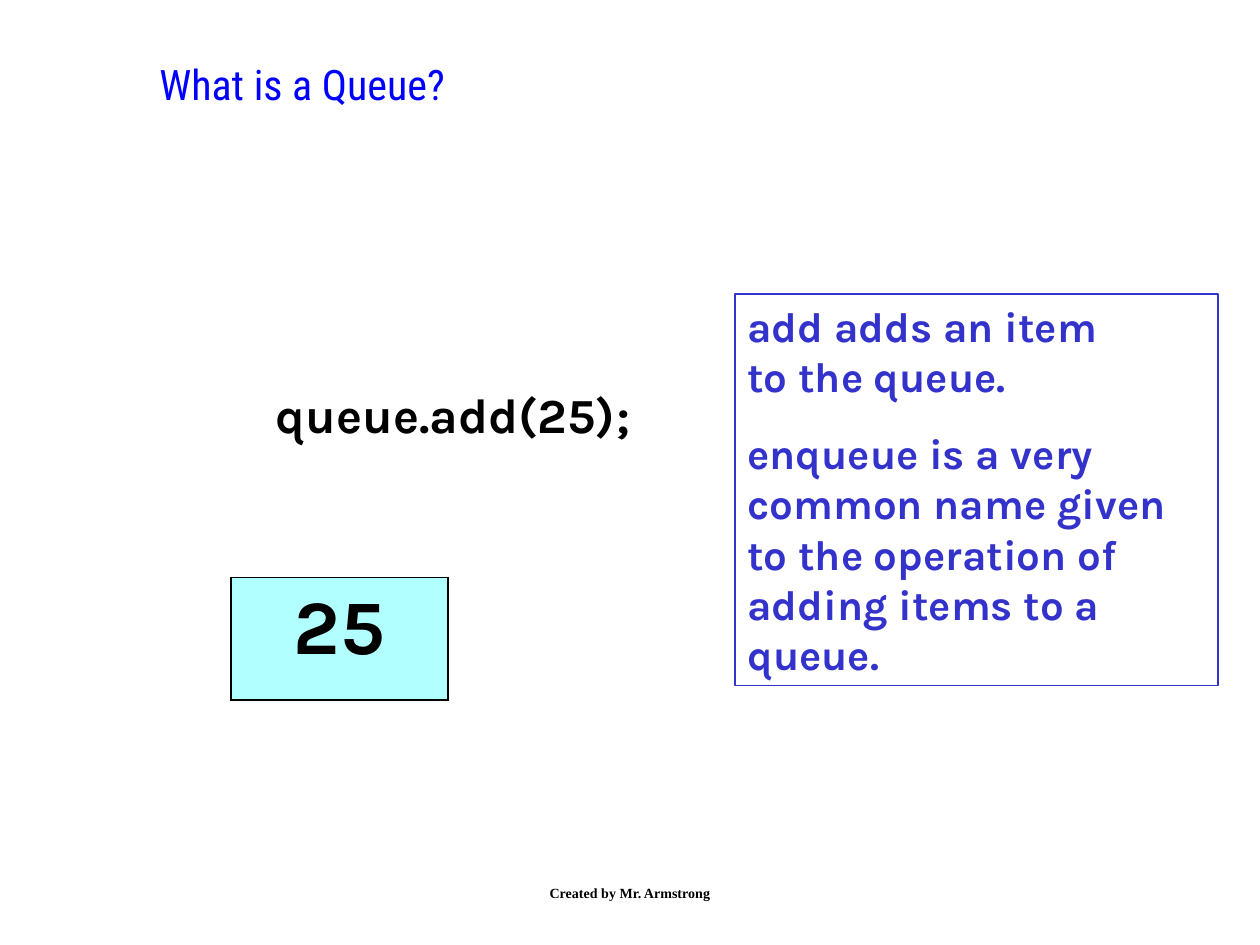
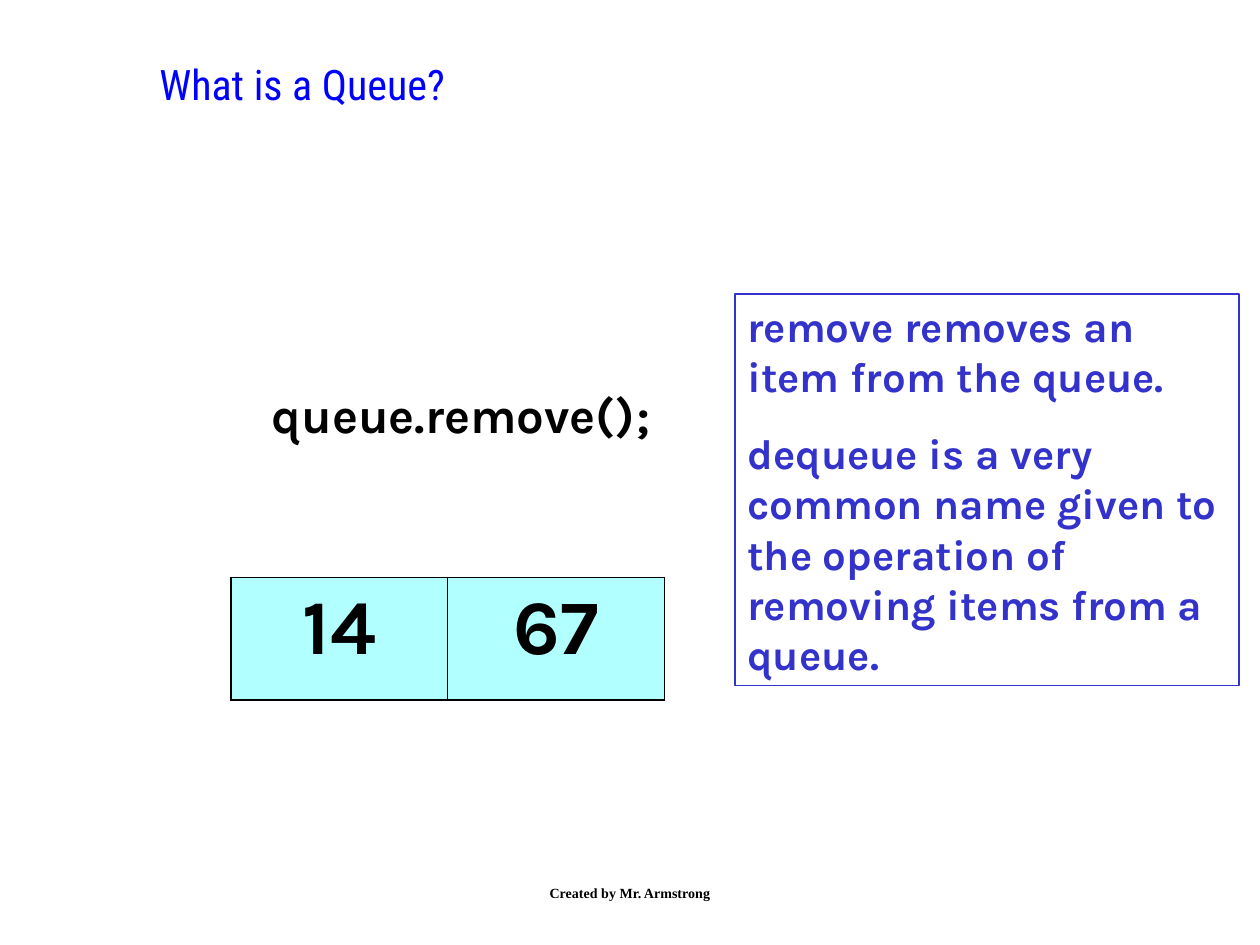
from dataclasses import dataclass
from typing import NamedTuple

from lxml import etree
from pptx import Presentation
from pptx.dml.color import RGBColor
from pptx.enum.shapes import MSO_SHAPE
from pptx.enum.text import MSO_ANCHOR, MSO_AUTO_SIZE, PP_ALIGN
from pptx.oxml.ns import qn
from pptx.slide import Slide
from pptx.table import _Cell
from pptx.text.text import TextFrame, _Paragraph
from pptx.util import Inches, Pt

RECT = MSO_SHAPE.RECTANGLE
TOP, MIDDLE = MSO_ANCHOR.TOP, MSO_ANCHOR.MIDDLE
LEFT, CENTER = PP_ALIGN.LEFT, PP_ALIGN.CENTER
GROW = MSO_AUTO_SIZE.SHAPE_TO_FIT_TEXT

BLACK = RGBColor(0x00, 0x00, 0x00)
BLUE = RGBColor(0x00, 0x00, 0xFF)
INDIGO = RGBColor(0x33, 0x33, 0xCC)
CYAN = RGBColor(0x66, 0xFF, 0xFF)

WIDTH, HEIGHT = Inches(10), Inches(7.5)
COLS, ROWS = 120, 90
UNIT = WIDTH / COLS
CELL_W, CELL_H = 20.64, 11.64
THICK, THIN = 1.08, 0.45


class Box(NamedTuple):
    col: float
    row: float
    wide: float
    high: float

    def place(self) -> tuple[int, int, int, int]:
        return (
            round(self.col * WIDTH / COLS),
            round(self.row * HEIGHT / ROWS),
            round(self.wide * WIDTH / COLS),
            round(self.high * HEIGHT / ROWS),
        )


@dataclass(frozen=True)
class Style:
    face: str
    size: float
    color: RGBColor
    bold: bool = True
    align: PP_ALIGN = LEFT
    before: float = 0


@dataclass(frozen=True)
class Page:
    code: str
    spot: Box
    note: Box
    lines: tuple[str, ...]
    items: tuple[str, ...]


TITLE = Style("Roboto Condensed", 24, BLUE, bold=False)
CODE = Style("Karla", 28, BLACK)
NOTE = Style("Karla", 24, INDIGO, before=15)
ITEM = Style("Karla", 44, BLACK, align=CENTER, before=11)
FOOT = Style("Times New Roman", 8, BLACK, align=CENTER)

TITLE_BOX = Box(14, 5, 88, 13)
FOOT_BOX = Box(41, 82, 38, 6)

PAGES = (
    Page(
        "queue.add(25);",
        Box(25.1, 36, 36.8, 6.84),
        Box(70, 28, 46, 37.3),
        (
            "add adds an item\nto the queue.",
            "enqueue is a very common name given to the operation of adding items to a queue.",
        ),
        ("25",),
    ),
    Page(
        "queue.remove();",
        Box(24.7, 36, 40.6, 6.84),
        Box(70, 28, 48, 37.3),
        (
            "remove removes an item from the queue.",
            "dequeue is a very common name given to the operation of removing items from a queue.",
        ),
        ("14", "67"),
    ),
)


def write(para: _Paragraph, text: str, style: Style) -> None:
    para.text = text
    para.alignment = style.align
    para.space_before = Pt(style.before)
    font = para.font
    font.name, font.size, font.bold = style.face, Pt(style.size), style.bold
    font.color.rgb = style.color


def fill_text(frame: TextFrame, lines: tuple[str, ...], style: Style) -> None:
    for index, line in enumerate(lines):
        para = frame.add_paragraph() if index else frame.paragraphs[0]
        write(para, line, style)


def add_text(slide: Slide, box: Box, text: str, style: Style,
             wrap: bool = False, anchor: MSO_ANCHOR = TOP) -> TextFrame:
    frame = slide.shapes.add_textbox(*box.place()).text_frame
    frame.word_wrap = wrap
    frame.vertical_anchor = anchor
    fill_text(frame, (text,), style)
    return frame


def add_note(slide: Slide, box: Box, lines: tuple[str, ...]) -> None:
    shape = slide.shapes.add_shape(RECT, *box.place())
    shape.shadow.inherit = False
    shape.fill.background()
    shape.line.color.rgb = INDIGO
    shape.line.width = Pt(0.75)
    frame = shape.text_frame
    frame.word_wrap = True
    frame.auto_size = GROW
    frame.vertical_anchor = TOP
    fill_text(frame, lines, NOTE)


def add_edge(cell: _Cell, side: str, width: float) -> None:
    props = cell._tc.get_or_add_tcPr()
    line = etree.SubElement(props, qn(f"a:ln{side}"), w=str(Pt(width)))
    solid = etree.SubElement(line, qn("a:solidFill"))
    etree.SubElement(solid, qn("a:srgbClr"), val=str(BLACK))


def add_queue(slide: Slide, items: tuple[str, ...]) -> None:
    count = len(items)
    box = Box(22, 55, CELL_W * count, CELL_H)
    table = slide.shapes.add_table(1, count, *box.place()).table
    table.first_row = table.horz_banding = False
    for index, item in enumerate(items):
        table.columns[index].width = round(CELL_W * UNIT)
        cell = table.cell(0, index)
        write(cell.text_frame.paragraphs[0], item, ITEM)
        add_edge(cell, "L", THIN if index else THICK)
        add_edge(cell, "R", THIN if index < count - 1 else THICK)
        for side in "TB":
            add_edge(cell, side, THICK)
        cell.fill.solid()
        cell.fill.fore_color.rgb = CYAN
        tint = cell._tc.tcPr.find(qn("a:solidFill")).find(qn("a:srgbClr"))
        etree.SubElement(tint, qn("a:alpha"), val="50000")


def main() -> None:
    deck = Presentation()
    deck.slide_width, deck.slide_height = WIDTH, HEIGHT
    for page in PAGES:
        slide = deck.slides.add_slide(deck.slide_layouts[6])
        code = add_text(slide, page.spot, page.code, CODE)
        code.auto_size = GROW
        add_note(slide, page.note, page.lines)
        add_queue(slide, page.items)
        add_text(slide, TITLE_BOX, "What is a Queue?", TITLE)
        add_text(slide, FOOT_BOX, "Created by Mr. Armstrong", FOOT, wrap=True, anchor=MIDDLE)
    deck.save("out.pptx")


if __name__ == "__main__":
    main()
